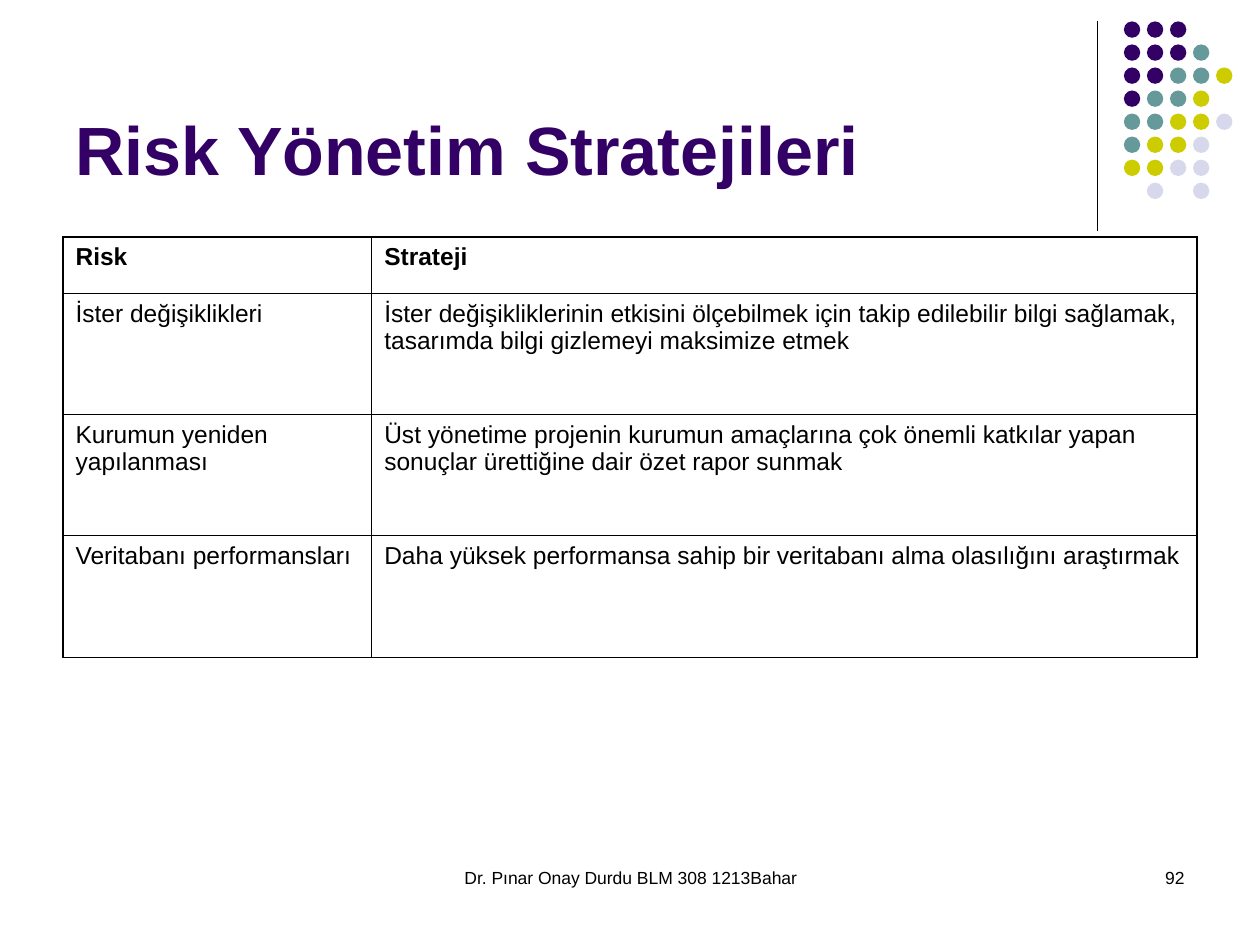
"""Build the risk management strategies slide."""
from lxml.etree import SubElement as Sub
from pptx import Presentation
from pptx.dml.color import RGBColor as RGB
from pptx.enum.shapes import MSO_CONNECTOR as Link, MSO_SHAPE as Shape
from pptx.enum.text import MSO_ANCHOR as Anchor, PP_ALIGN as Align
from pptx.oxml import parse_xml
from pptx.oxml.ns import nsdecls, qn
from pptx.util import Inches, Pt

INK = {"black": "000000", "plum": "330066", "teal": "669999",
       "lime": "CCCC00", "mist": "D8D8EC"}
DOTS = ["ppp", "pppt", "ppttl", "pttl", "ttllm", "tllm", "llmm", " m m"]
ROWS = [
    ("Risk", "Strateji"),
    ("İster değişiklikleri",
     "İster değişikliklerinin etkisini ölçebilmek için takip edilebilir "
     "bilgi sağlamak, tasarımda bilgi gizlemeyi maksimize etmek"),
    ("Kurumun yeniden yapılanması",
     "Üst yönetime projenin kurumun amaçlarına çok önemli katkılar yapan "
     "sonuçlar ürettiğine dair özet rapor sunmak"),
    ("Veritabanı performansları",
     "Daha yüksek performansa sahip bir veritabanı alma olasılığını "
     "araştırmak"),
]
WIDE = [2.45, 6.55]
HIGH = [0.45, 0.96, 0.96, 0.97]
TEXTS = [
    ("Risk Yönetim Stratejileri", (0.5, 0.13, 8.25, 1.42), "plum",
     Anchor.BOTTOM, Align.LEFT, {"size": Pt(39), "bold": True}),
    ("Dr. Pınar Onay Durdu BLM 308 1213Bahar", (3.42, 6.83, 3.17, 0.5),
     "black", Anchor.TOP, Align.CENTER, {"size": Pt(10), "bold": False}),
    ("92", (7.17, 6.83, 2.33, 0.5), "black", Anchor.TOP, Align.RIGHT,
     {"size": Pt(10), "bold": False}),
]


def write(frame, text, tone, form):
    para = frame.paragraphs[0]
    run = para.add_run()
    run.text = text
    for name, value in {"name": "Arial", **form}.items():
        setattr(run.font, name, value)
    run.font.color.rgb = RGB.from_string(INK[tone])
    return para


def edge(cell, spot, side, width):
    line = parse_xml(
        f'<a:ln{side} {nsdecls("a")} w="{Pt(width)}"><a:solidFill>'
        f'<a:srgbClr val="{INK["black"]}"/></a:solidFill></a:ln{side}>')
    cell._tc.get_or_add_tcPr().insert(spot, line)


deck = Presentation()
deck.slide_width, deck.slide_height = Inches(10), Inches(7.5)
slide = deck.slides.add_slide(deck.slide_layouts[6])
shapes = slide.shapes

rule = shapes.add_connector(Link.STRAIGHT, Inches(8.71), Inches(0.17),
                            Inches(8.71), Inches(1.83))
rule.line.color.rgb = RGB.from_string(INK["black"])
rule.line.width = Pt(0.75)
Sub(rule._element.spPr, qn("a:effectLst"))

tones = {name[0]: shade for name, shade in INK.items()}
step = 1.28 / 7
for row, marks in enumerate(DOTS):
    for col, mark in enumerate(marks):
        if mark == " ":
            continue
        dot = shapes.add_shape(
            Shape.OVAL, Inches(8.92 + col * step),
            Inches(0.17 + row * step), Inches(0.13), Inches(0.13))
        dot.shadow.inherit = False
        dot.fill.solid()
        dot.fill.fore_color.rgb = RGB.from_string(tones[mark])
        dot.line.fill.background()

for text, area, tone, anchor, align, form in TEXTS:
    box = shapes.add_textbox(*map(Inches, area))
    frame = box.text_frame
    frame.word_wrap = True
    frame.vertical_anchor = anchor
    write(frame, text, tone, form).alignment = align

table = shapes.add_table(len(ROWS), len(WIDE), Inches(0.5), Inches(1.88),
                         Inches(sum(WIDE)), Inches(sum(HIGH))).table
table.first_row = table.horz_banding = False
for col, width in enumerate(WIDE):
    table.columns[col].width = Inches(width)
for row, (texts, height) in enumerate(zip(ROWS, HIGH)):
    table.rows[row].height = Inches(height)
    for col, text in enumerate(texts):
        cell = table.cell(row, col)
        cell.fill.background()
        write(cell.text_frame, text, "black",
              {"size": Pt(14), "bold": row == 0})
        outer = {"L": col == 0, "R": col == len(WIDE) - 1,
                 "T": row == 0, "B": row == len(ROWS) - 1}
        for spot, (side, rim) in enumerate(outer.items()):
            edge(cell, spot, side, 1.08 if rim else 0.45)

deck.save("out.pptx")
